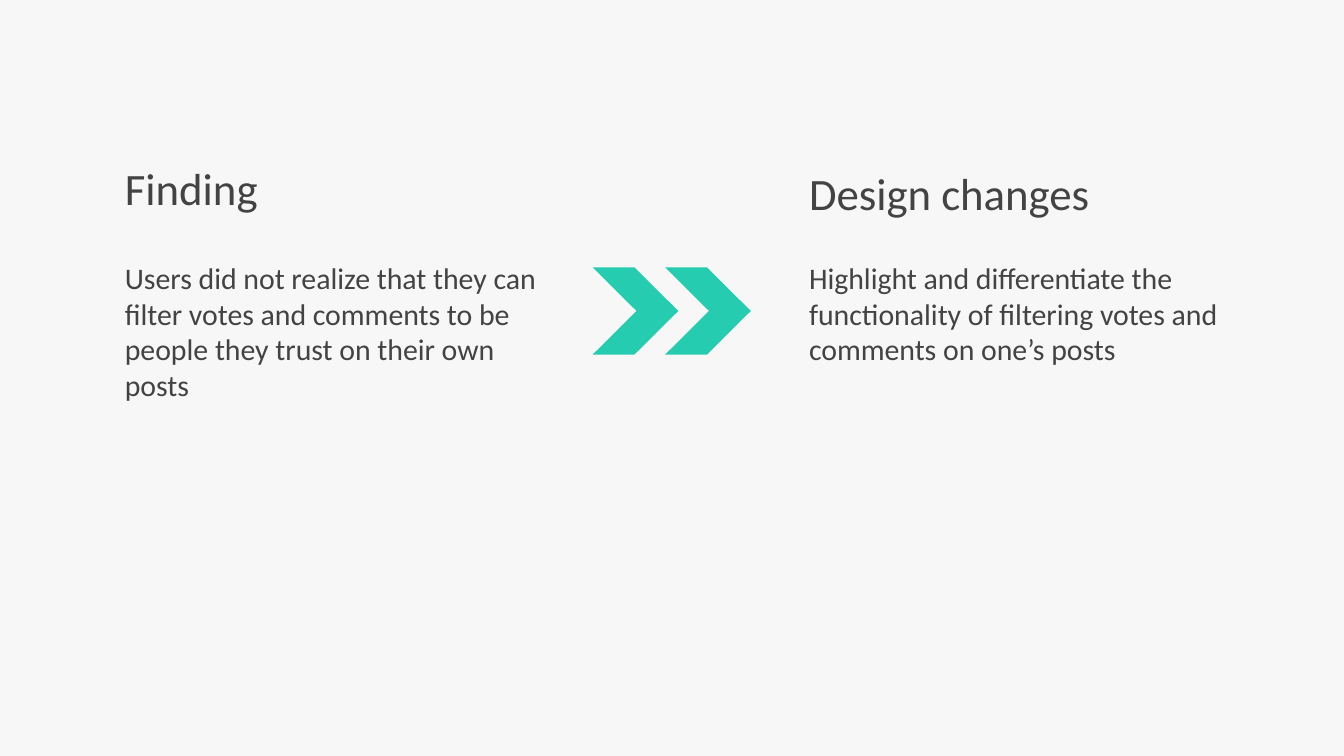
import pptx
import pptx.dml.color
import pptx.enum.text
import pptx.util
from lxml import etree
from pptx.util import Cm

TEXT = "434343"
ACCENT = "25CCB0"
BACKGROUND = "F7F7F7"

ANCHOR = pptx.enum.text.MSO_ANCHOR
HEADING = {"size": pptx.util.Pt(24), "name": "Calibri", "bold": False}
BODY = {"size": pptx.util.Pt(16), "name": "Calibri", "bold": False}


def set_solid(fill, color):
    fill.solid()
    fill.fore_color.rgb = pptx.dml.color.RGBColor.from_string(color)


def remove_bullet(paragraph):
    properties = paragraph._p.get_or_add_pPr()
    properties.set("marL", "0")
    properties.set("indent", "0")
    etree.SubElement(properties, pptx.oxml.ns.qn("a:buNone"))


def fill_placeholder(shape, text, position, font_format, anchor):
    shape.left, shape.top, shape.width, shape.height = map(Cm, position)
    frame = shape.text_frame
    frame_format = {
        "text": text,
        "word_wrap": True,
        "auto_size": pptx.enum.text.MSO_AUTO_SIZE.NONE,
        "vertical_anchor": anchor,
    }
    for side in ("left", "top", "right", "bottom"):
        frame_format[f"margin_{side}"] = Cm(0.25)
    for name, value in frame_format.items():
        setattr(frame, name, value)

    paragraph = frame.paragraphs[0]
    paragraph.alignment = pptx.enum.text.PP_ALIGN.LEFT
    paragraph.space_before = pptx.util.Pt(0)
    remove_bullet(paragraph)
    for name, value in font_format.items():
        setattr(paragraph.font, name, value)
    set_solid(paragraph.font.fill, TEXT)


def add_chevron(shapes, left, top):
    width, height, notch, shoulder = 1.62, 1.65, 0.83, 0.79
    points = [
        (left + notch, top + height / 2),
        (left, top + height),
        (left + shoulder, top + height),
        (left + width, top + height / 2),
        (left + shoulder, top),
    ]
    builder = shapes.build_freeform(Cm(left), Cm(top))
    builder.add_line_segments([(Cm(x), Cm(y)) for x, y in points], close=True)
    chevron = builder.convert_to_shape()
    chevron.shadow.inherit = False
    set_solid(chevron.fill, ACCENT)
    chevron.line.fill.background()


def add_double_chevron(slide):
    group = slide.shapes.add_group_shape()
    for index in range(2):
        add_chevron(group.shapes, 11.2 + 1.37 * index, 5.05)


def main():
    presentation = pptx.Presentation()
    presentation.slide_width = Cm(25.4)
    presentation.slide_height = Cm(14.28)
    comparison_layout = presentation.slide_layouts[4]
    slide = presentation.slides.add_slide(comparison_layout)
    set_solid(slide.background.fill, BACKGROUND)

    placeholders = {
        shape.placeholder_format.idx: shape for shape in slide.placeholders
    }
    unused = placeholders.pop(1).element
    unused.getparent().remove(unused)

    left_column, right_column, body_top, body_height = 2.11, 15.04, 4.65, 5.46
    fill_placeholder(
        placeholders[0], "Finding",
        (left_column, 2.84, 9.78, 1.47), HEADING, ANCHOR.BOTTOM)
    fill_placeholder(
        placeholders[3], "Design changes",
        (right_column, 2.79, 7.26, 1.6), HEADING, ANCHOR.BOTTOM)
    fill_placeholder(
        placeholders[2],
        "Users did not realize that they can filter votes and comments to "
        "be people they trust on their own posts",
        (left_column, body_top, 8.28, body_height), BODY, ANCHOR.TOP)
    fill_placeholder(
        placeholders[4],
        "Highlight and differentiate the functionality of filtering votes "
        "and comments on one’s posts",
        (right_column, body_top, 8.59, body_height), BODY, ANCHOR.TOP)
    add_double_chevron(slide)
    presentation.save("out.pptx")


if __name__ == "__main__":
    main()
